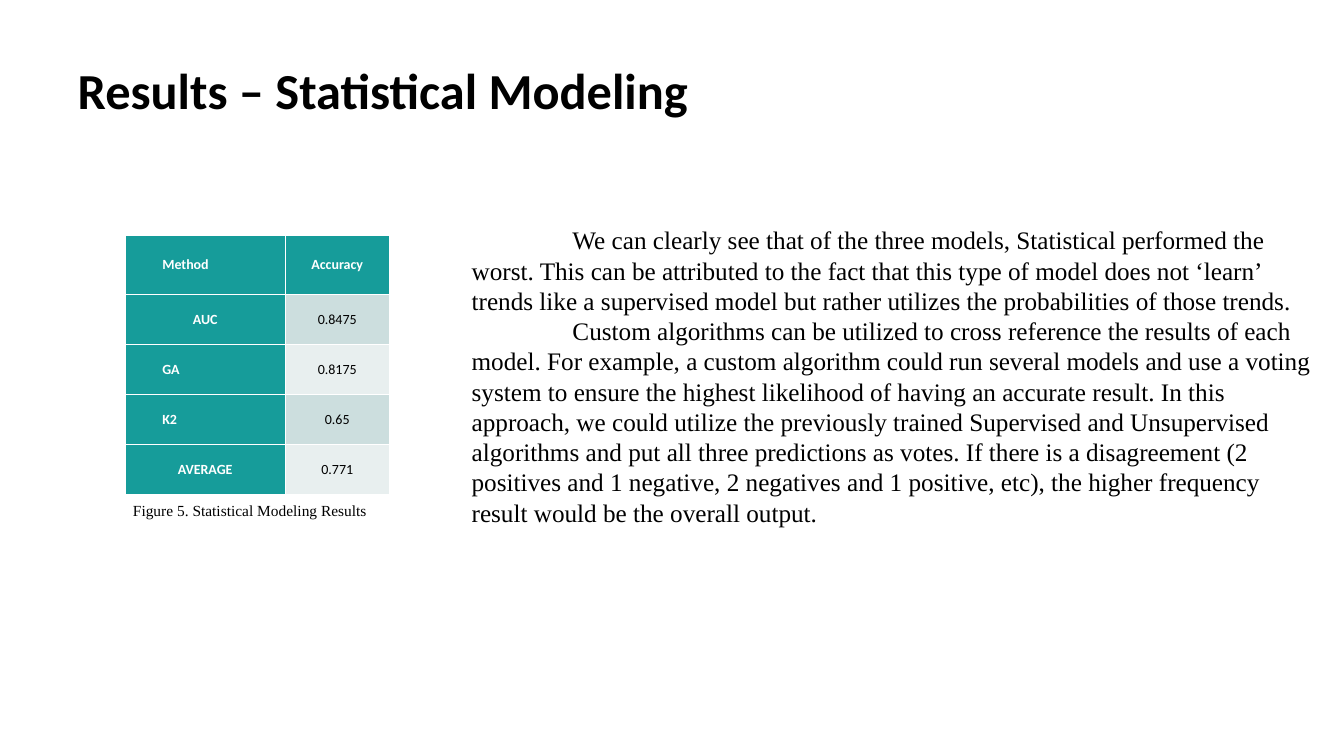
from pptx import Presentation
from pptx.dml.color import RGBColor
from pptx.enum.text import MSO_ANCHOR, PP_ALIGN
from pptx.util import Inches, Pt

COLORS = {"text": "000000", "white": "FFFFFF", "teal": "169C9A",
          "band_dark": "CCDEDE", "band_light": "E8EFEF"}
SERIF = "Times New Roman"
ROWS = [("Method", "Accuracy"), ("AUC", "0.8475"), ("GA", "0.8175"),
        ("K2", "0.65"), ("AVERAGE", "0.771")]
INDENTED = {"Method", "GA", "K2"}
PARAGRAPHS = [
    "We can clearly see that of the three models, Statistical performed the "
    "worst. This can be attributed to the fact that this type of model does "
    "not ‘learn’ trends like a supervised model but rather utilizes the "
    "probabilities of those trends.",
    "Custom algorithms can be utilized to cross reference the results of each "
    "model. For example, a custom algorithm could run several models and use a "
    "voting system to ensure the highest likelihood of having an accurate "
    "result. In this approach, we could utilize the previously trained "
    "Supervised and Unsupervised algorithms and put all three predictions as "
    "votes. If there is a disagreement (2 positives and 1 negative, 2 negatives "
    "and 1 positive, etc), the higher frequency result would be the overall "
    "output.",
]


def rgb(name):
    return RGBColor.from_string(COLORS[name])


def write(p, text, size, font="Calibri", color="text", bold=False,
          align=PP_ALIGN.LEFT, margin=0, indent=0):
    p.alignment = align
    pPr = p._p.get_or_add_pPr()
    pPr.set("marL", str(Inches(margin)))
    pPr.set("indent", str(Inches(indent)))
    r = p.add_run()
    r.text = text
    r.font.size, r.font.name, r.font.bold = Pt(size), font, bold
    r.font.color.rgb = rgb(color)


def add_title(s, x, y, w, h):
    sp = s.shapes.title
    sp.left, sp.top, sp.width, sp.height = map(Inches, (x, y, w, h))
    tf = sp.text_frame
    tf.vertical_anchor = MSO_ANCHOR.TOP
    p = tf.paragraphs[0]
    p.line_spacing = 0.9
    write(p, "Results – Statistical Modeling", 36, bold=True)


def add_text(s, x, y, w, h, paragraphs, size, indent=0):
    tf = s.shapes.add_textbox(*map(Inches, (x, y, w, h))).text_frame
    tf.word_wrap = True
    for i, text in enumerate(paragraphs):
        p = tf.add_paragraph() if i else tf.paragraphs[0]
        write(p, text, size, font=SERIF, indent=indent)


def fill_cell(cell, text, row, col):
    heading = row == 0 or col == 0
    band = "band_dark" if row % 2 else "band_light"
    cell.fill.solid()
    cell.fill.fore_color.rgb = rgb("teal" if heading else band)
    cell.vertical_anchor = MSO_ANCHOR.MIDDLE
    cell.margin_left = cell.margin_right = Inches(0.12)
    cell.margin_top = cell.margin_bottom = Inches(0.08)
    layout = ({"margin": 0.5, "indent": -0.25} if text in INDENTED
              else {"align": PP_ALIGN.CENTER})
    write(cell.text_frame.paragraphs[0], text, 10, bold=heading,
          color="white" if heading else "text", **layout)


def add_results(s, x, y, w, h):
    # Accuracy table
    table = s.shapes.add_table(len(ROWS), 2, *map(Inches, (x, y, w, h))).table
    table.first_col = True
    method_w, header_h = 1.59, 0.58
    table.columns[0].width = Inches(method_w)
    table.columns[1].width = Inches(w - method_w)
    for i, values in enumerate(ROWS):
        table.rows[i].height = Inches((h - header_h) / (len(ROWS) - 1) if i else header_h)
        for j, text in enumerate(values):
            fill_cell(table.cell(i, j), text, i, j)
    # Caption below the table
    add_text(s, x - 0.02, y + h + 0.01, 5.28, 0.29,
             ["Figure 5. Statistical Modeling Results"], 11)


def main():
    prs = Presentation()
    prs.slide_width, prs.slide_height = Inches(13.33), Inches(7.5)
    s = prs.slides.add_slide(prs.slide_layouts[5])
    add_title(s, 0.67, 0.6, 11.65, 1.24)
    add_results(s, 1.24, 2.34, 2.62, 2.57)
    # Discussion
    add_text(s, 4.58, 2.18, 8.63, 3.13, PARAGRAPHS, 18, indent=1)
    prs.save("out.pptx")


if __name__ == "__main__":
    main()
